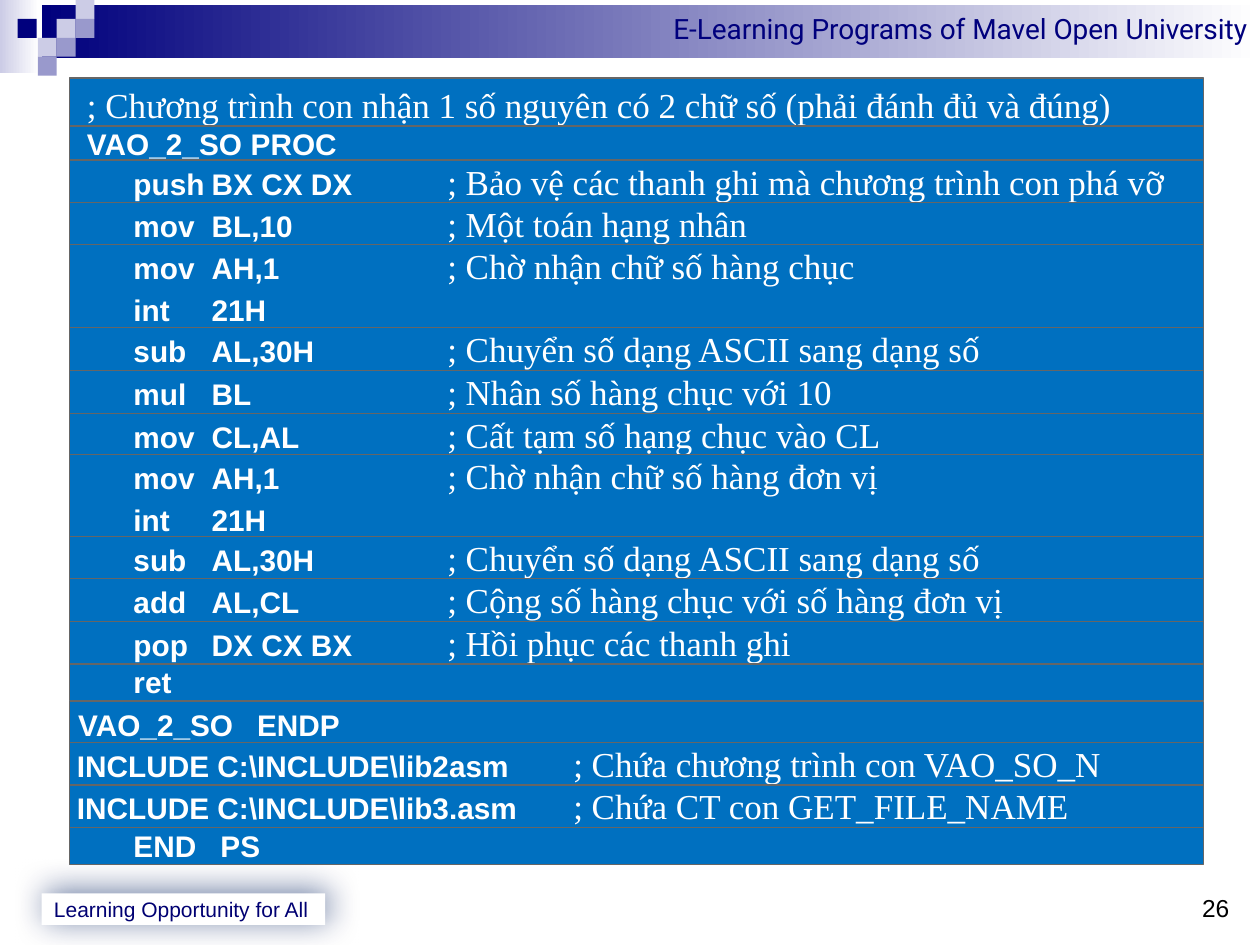
import pptx
import pptx.util
import pptx.dml.color
import pptx.enum.shapes
import pptx.enum.text
import lxml.etree

COLORS = {
    "navy": "00007D", "ink": "000072", "shade": "002060", "pale": "CCCCE6",
    "mid": "9999CC", "blue": "0070C0", "edge": "666666",
    "white": "FFFFFF", "black": "000000",
}
SERIF, SANS, HEAD = "Times New Roman", "Arial", "Roboto"
NS = "http://schemas.openxmlformats.org/drawingml/2006/main"
COLS, ROWS = 1000, 750


def rgb(name):
    return pptx.dml.color.RGBColor.from_string(COLORS[name])


class Page:
    """Draws on one slide, measured in grid columns and rows."""

    def __init__(self):
        self.deck = pptx.Presentation()
        self.deck.slide_width = pptx.util.Inches(10)
        self.deck.slide_height = pptx.util.Inches(7.5)
        self.slide = self.deck.slides.add_slide(self.deck.slide_layouts[5])

    def place(self, x, y, w, h):
        col = self.deck.slide_width / COLS
        row = self.deck.slide_height / ROWS
        return [int(v) for v in (x * col, y * row, w * col, h * row)]

    def blend(self, fill, first, last):
        fill.gradient()
        fill.gradient_angle = 0
        for stop, name in zip(fill.gradient_stops, (first, last)):
            stop.color.rgb = rgb(name)

    def font(self, run, size, face, color, bold=False):
        font = run.font
        font.size, font.name, font.bold = pptx.util.Pt(size), face, bold
        font.color.rgb = rgb(color)

    def title(self, box, text):
        shape = self.slide.shapes.title
        shape.left, shape.top, shape.width, shape.height = self.place(*box)
        self.blend(shape.fill, "navy", "white")
        frame = shape.text_frame
        frame.text = text
        frame.vertical_anchor = pptx.enum.text.MSO_ANCHOR.TOP
        frame.paragraphs[0].alignment = pptx.enum.text.PP_ALIGN.RIGHT
        self.font(frame.paragraphs[0].runs[0], 16, HEAD, "navy")

    def rect(self, box, fill, edge=None):
        kind = pptx.enum.shapes.MSO_SHAPE.RECTANGLE
        shape = self.slide.shapes.add_shape(kind, *self.place(*box))
        shape.shadow.inherit = False
        shape.fill.solid()
        shape.fill.fore_color.rgb = rgb(fill)
        if edge:
            shape.line.color.rgb = rgb(edge)
            shape.line.width = pptx.util.Pt(0.75)
        else:
            shape.line.fill.background()
        return shape

    def label(self, shape, text, size, color):
        shape.text_frame.text = text
        para = shape.text_frame.paragraphs[0]
        para.alignment = pptx.enum.text.PP_ALIGN.LEFT
        self.font(para.runs[0], size, SANS, color)

    def number(self, box, text):
        shape = self.slide.shapes.add_textbox(*self.place(*box))
        shape.text_frame.margin_left = shape.text_frame.margin_right = 0
        shape.text_frame.word_wrap = True
        self.label(shape, text, 14, "black")

    def glow(self, shape):
        list_tag = shape._element.spPr.find(f"{{{NS}}}effectLst")
        outer = lxml.etree.SubElement(
            list_tag, f"{{{NS}}}outerShdw", blurRad=str(pptx.util.Pt(19)),
            dist=str(pptx.util.Pt(3)), dir=str(315 * 60000),
            algn="ctr", rotWithShape="0")
        tint = lxml.etree.SubElement(
            outer, f"{{{NS}}}srgbClr", val=COLORS["shade"])
        lxml.etree.SubElement(tint, f"{{{NS}}}alpha", val="56000")

    def tabs(self, para, stops):
        props = para._p.get_or_add_pPr()
        group = lxml.etree.SubElement(props, f"{{{NS}}}tabLst")
        for stop in stops:
            lxml.etree.SubElement(group, f"{{{NS}}}tab", algn="l",
                                  pos=str(pptx.util.Inches(stop)))

    def code(self, top, height, stops, lines, space=None):
        shape = self.rect((55, top, 900, height), "blue", "edge")
        frame = shape.text_frame
        frame.margin_left = frame.margin_right = 0
        frame.margin_top = frame.margin_bottom = 0
        frame.vertical_anchor = pptx.enum.text.MSO_ANCHOR.TOP
        for i, (lead, code, note) in enumerate(lines):
            para = frame.add_paragraph() if i else frame.paragraphs[0]
            para.alignment = pptx.enum.text.PP_ALIGN.LEFT
            if space:
                para.line_spacing = pptx.util.Pt(space)
            self.tabs(para, stops)
            parts = (("\t", lead, SERIF, False), (code, 17, SANS, True),
                     (note, 20, SERIF, False))
            for text, size, face, bold in parts:
                if text:
                    run = para.add_run()
                    run.text = text
                    self.font(run, size, face, "white", bold)

    def save(self):
        self.deck.save("out.pptx")


page = Page()

# Header band and mosaic
page.title((33, 4, 967, 42), "E-Learning Programs of Mavel Open University")
strip = page.rect((0, 0, 31, 58), "pale")
page.blend(strip.fill, "pale", "white")
MOSAIC = [(45, 15, "pale"), (60, 0, "pale"), (60, 15, "mid"), (30, 30, "pale"),
          (14, 15, "navy"), (45, 30, "mid"), (30, 45, "mid")]
for x, y, tone in MOSAIC:
    page.rect((x, y, 15, 15), tone)

# Footer
badge = page.rect((33, 709, 225, 25), "white")
page.glow(badge)
page.label(badge, "Learning Opportunity for All", 12, "ink")
page.number((954, 704, 30, 30), "26")

# Assembly listing: top, height, tab stops, lines of (lead size, code, note)
STEP = (0.51, 1.13, 3)
page.code(62, 40, (0.14,), [
    (20, "", "; Chương trình con nhận 1 số nguyên có 2 chữ số "
             "(phải đánh đủ và đúng)")], 27)
LISTING = [
    (100, 29, (0.14, 1.44), [(17, "VAO_2_SO\tPROC", "")]),
    (127, 35, STEP, [(17, "push\tBX CX DX\t",
                      "; Bảo vệ các thanh ghi mà chương trình con phá vỡ")]),
    (161, 35, STEP, [(17, "mov\tBL,10\t", "; Một toán hạng nhân")]),
    (194, 67, STEP, [(17, "mov\tAH,1\t", "; Chờ nhận chữ số hàng chục"),
                     (20, "int\t21H", "")]),
    (260, 35, STEP, [(17, "sub\tAL,30H\t",
                      "; Chuyển số dạng ASCII sang dạng số")]),
    (294, 35, STEP, [(17, "mul\tBL\t", "; Nhân số hàng chục với 10")]),
    (328, 35, STEP, [(17, "mov\tCL,AL\t", "; Cất tạm số hạng chục vào CL")]),
    (361, 67, STEP, [(17, "mov\tAH,1\t", "; Chờ nhận chữ số hàng đơn vị"),
                     (20, "int\t21H", "")]),
    (426, 35, STEP, [(17, "sub\tAL,30H\t",
                      "; Chuyển số dạng ASCII sang dạng số")]),
    (459, 35, STEP, [(17, "add\tAL,CL\t",
                      "; Cộng số hàng chục với số hàng đơn vị")]),
    (493, 35, STEP, [(17, "pop\tDX CX BX\t", "; Hồi phục các thanh ghi")]),
    (527, 29, STEP, [(17, "ret", "")]),
    (557, 35, (0.07, 1.49), [(20, "VAO_2_SO\tENDP", "")]),
    (589, 35, (0.06, 4), [(17, "INCLUDE C:\\INCLUDE\\lib2asm\t",
                           "; Chứa chương trình con VAO_SO_N")]),
    (623, 34, (0.06, 4), [(17, "INCLUDE C:\\INCLUDE\\lib3.asm\t",
                           "; Chứa CT con GET_FILE_NAME")]),
    (657, 29, (0.51, 1.2), [(17, "END\tPS", "")]),
]
for row in LISTING:
    page.code(*row)

page.save()
